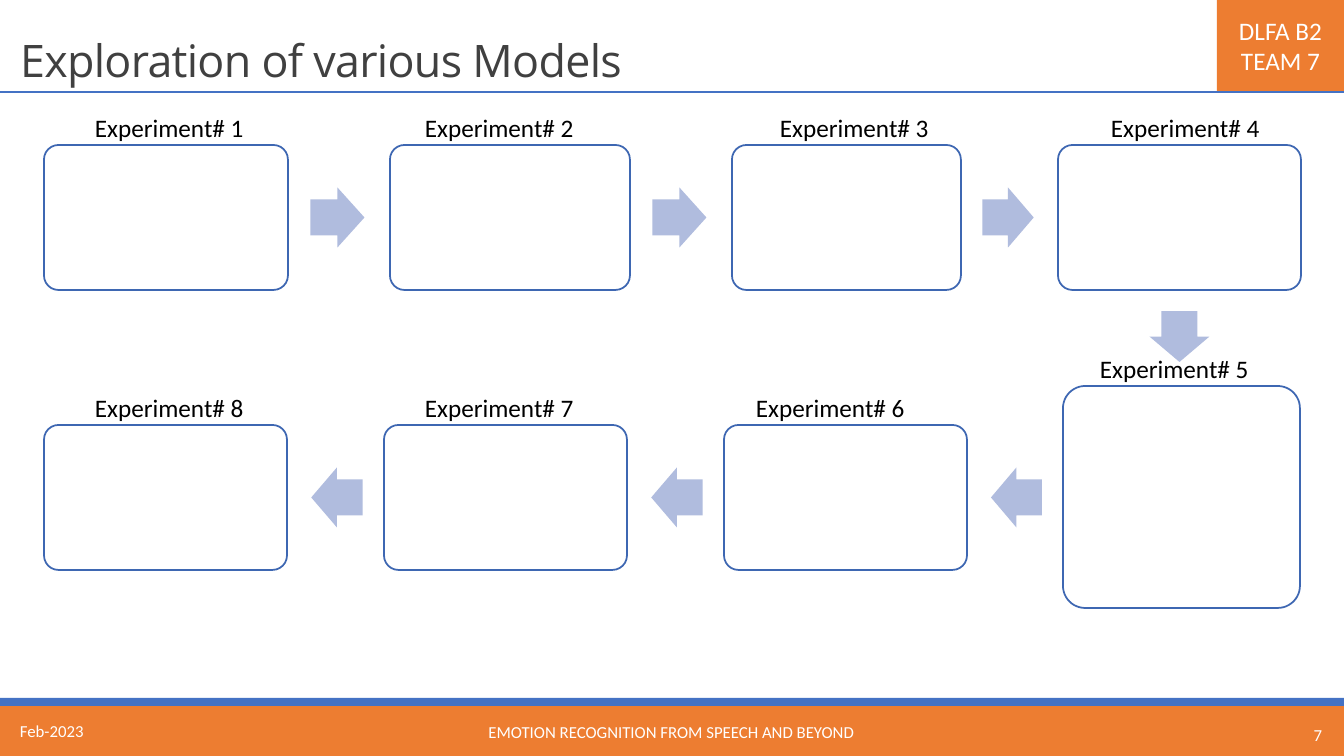
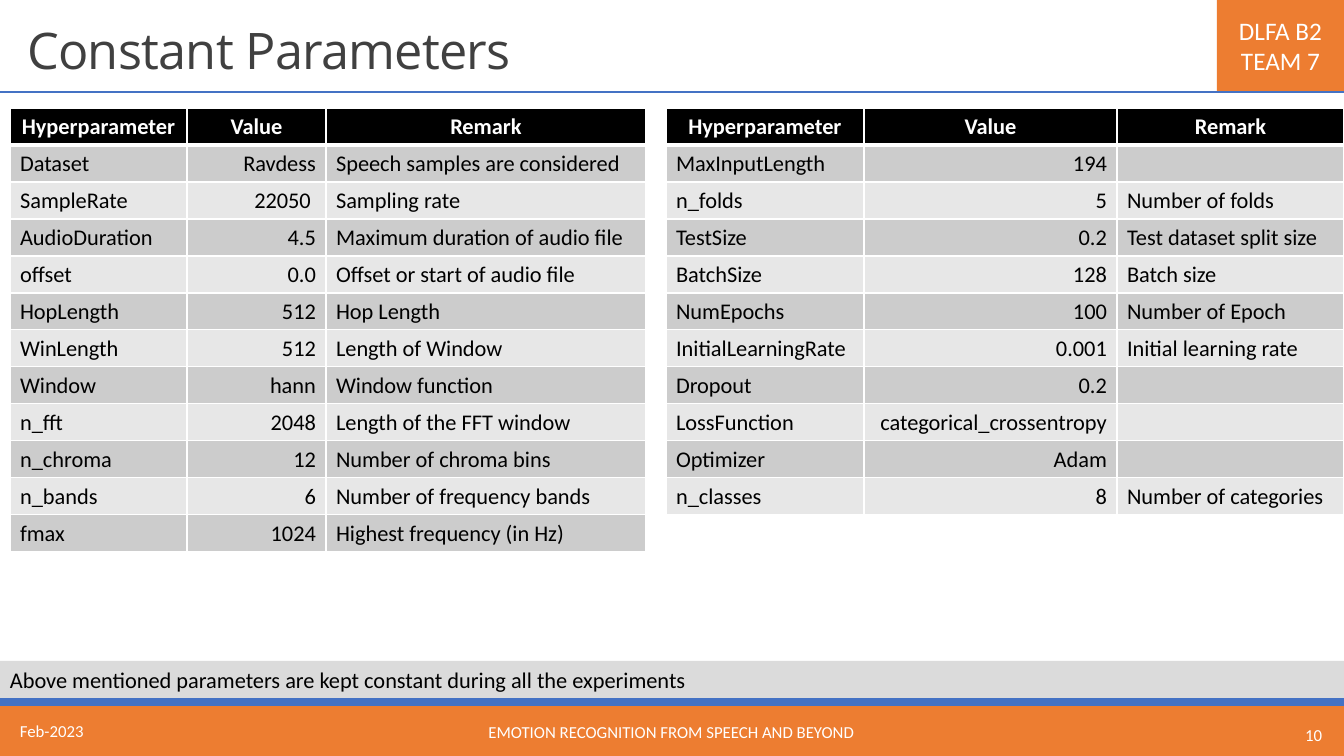
from lxml import etree
from pptx import Presentation
from pptx.dml.color import RGBColor
from pptx.enum import shapes, text
from pptx.oxml.ns import qn
from pptx.util import Emu, Pt

# Content
DATE = "Feb-2023"
TOPIC = "EMOTION RECOGNITION FROM SPEECH AND BEYOND"
TEAM = "DLFA B2 TEAM 7"
NOTE = "Above mentioned parameters are kept constant during all the experiments"
HEAD = ("Hyperparameter", "Value", "Remark")

# Experiments in order: card box, then left edge of its caption
CARDS = [
    ((44, 145, 244, 145), 85),
    ((390, 145, 240, 145), 415),
    ((732, 145, 229, 145), 770),
    ((1058, 145, 243, 145), 1101),
    ((1063, 386, 237, 222), 1090),
    ((724, 425, 243, 145), 746),
    ((384, 425, 243, 145), 415),
    ((44, 425, 243, 145), 85),
]
# One flow direction per gap between cards
FLOW = ["right"] * 3 + ["down"] + ["left"] * 3

AUDIO = [
    ("Dataset", "Ravdess", "Speech samples are considered"),
    ("SampleRate", "22050 ", "Sampling rate"),
    ("AudioDuration", "4.5", "Maximum duration of audio file"),
    ("offset", "0.0", "Offset or start of audio file"),
    ("HopLength", "512", "Hop Length"),
    ("WinLength", "512", "Length of Window"),
    ("Window", "hann", "Window function"),
    ("n_fft", "2048", "Length of the FFT window"),
    ("n_chroma", "12", "Number of chroma bins"),
    ("n_bands", "6", "Number of frequency bands"),
    ("fmax", "1024", "Highest frequency (in Hz)"),
]
TRAIN = [
    ("MaxInputLength", "194", ""),
    ("n_folds", "5", "Number of folds"),
    ("TestSize", "0.2", "Test dataset split size"),
    ("BatchSize", "128", "Batch size"),
    ("NumEpochs", "100", "Number of Epoch"),
    ("InitialLearningRate", "0.001", "Initial learning rate"),
    ("Dropout", "0.2", ""),
    ("LossFunction", "categorical_crossentropy", ""),
    ("Optimizer", "Adam", ""),
    ("n_classes", "8", "Number of categories"),
]
# Left edge, column widths, rows
TABLES = [(10, (177, 139, 320), AUDIO), (666, (198, 253, 227), TRAIN)]

# Style
HUES = {
    "orange": "ED7D31", "blue": "4472C4", "edge": "3E67B2", "arrow": "B0BCDE",
    "white": "FFFFFF", "black": "000000", "title": "404040",
    "dark": "CCCCCC", "light": "E7E7E7", "note": "DBDBDB",
}
BODY, DISPLAY = "Calibri", "Open Sans"
WIDE, HIGH = 1344, 756
KIND = shapes.MSO_SHAPE
SIDE = text.PP_ALIGN
MID, TOP, LOW = (text.MSO_ANCHOR.MIDDLE, text.MSO_ANCHOR.TOP,
                 text.MSO_ANCHOR.BOTTOM)


def px(n):
    return Emu(round(n * 914400 / 100.8))


def hue(name):
    return RGBColor.from_string(HUES[name])


def write(frame, words, size, color, align=SIDE.LEFT, face=BODY, bold=False):
    frame.text = words
    para = frame.paragraphs[0]
    para.alignment = align
    for run in para.runs:
        font = run.font
        font.name, font.size, font.bold = face, Pt(size), bold
        font.color.rgb = hue(color)
    return para


def block(slide, kind, box, fill, edge=None):
    shape = slide.shapes.add_shape(kind, *map(px, box))
    shape.shadow.inherit = False
    shape.fill.solid()
    shape.fill.fore_color.rgb = hue(fill)
    if edge:
        shape.line.color.rgb = hue(edge)
        shape.line.width = Pt(1.25)
    else:
        shape.line.fill.background()
    return shape


def label(slide, box, words, size, color, align=SIDE.LEFT, anchor=TOP):
    frame = slide.shapes.add_textbox(*map(px, box)).text_frame
    frame.word_wrap = True
    frame.vertical_anchor = anchor
    write(frame, words, size, color, align)


# Shared title, bands and footer
def page(deck, name, box, size, number):
    slide = deck.slides.add_slide(deck.slide_layouts[5])
    block(slide, KIND.RECTANGLE, (0, 706, WIDE, 50), "orange")
    block(slide, KIND.RECTANGLE, (0, 698, WIDE, 8), "blue")
    rule = slide.shapes.add_connector(
        shapes.MSO_CONNECTOR.STRAIGHT, 0, px(92), px(WIDE), px(92))
    rule.line.color.rgb = hue("blue")
    rule.line.width = Pt(1.5)
    etree.SubElement(rule._element.spPr, qn("a:effectLst"))
    badge = block(slide, KIND.RECTANGLE, (1217, 0, 127, 91), "orange")
    badge.text_frame.vertical_anchor = MID
    write(badge.text_frame, TEAM, 18, "white", SIDE.CENTER)

    for spot, words, align in (
        ((10, 711, 272, 40), DATE, SIDE.LEFT),
        ((406, 712, 531, 40), TOPIC, SIDE.CENTER),
        ((1188, 715, 144, 40), str(number), SIDE.RIGHT),
    ):
        label(slide, spot, words, 12, "white", align, MID)

    title = slide.shapes.title
    title.left, title.top, title.width, title.height = map(px, box)
    frame = title.text_frame
    frame.auto_size = text.MSO_AUTO_SIZE.NONE
    frame.vertical_anchor = LOW
    para = write(frame, name, size, "title", face=DISPLAY)
    para.line_spacing = 0.85
    para.space_after = Pt(6)
    para.runs[0]._r.get_or_add_rPr().set("spc", "-50")
    return slide


# Arrow in the gap between two cards, starting 22% in and 53% long
def arrow(slide, way, src, dst):
    thick = 60
    if way == "down":
        gap = dst[1] - src[1] - src[3]
        start = src[1] + src[3] + 0.22 * gap
        box = (src[0] + src[2] / 2 - thick / 2, start, thick, 0.53 * gap)
        kind = KIND.DOWN_ARROW
    else:
        near, far = (src, dst) if way == "right" else (dst, src)
        gap = far[0] - near[0] - near[2]
        skip = 0.22 if way == "right" else 0.25
        row = near if way == "right" else dst
        box = (near[0] + near[2] + skip * gap,
               row[1] + row[3] / 2 - thick / 2, 0.53 * gap, thick)
        kind = KIND.RIGHT_ARROW if way == "right" else KIND.LEFT_ARROW
    shape = block(slide, kind, box, "arrow")
    shape.adjustments[0], shape.adjustments[1] = 0.6, 0.5


def border(cell, widths):
    props = cell._tc.get_or_add_tcPr()
    for side, width in zip("LRTB", widths):
        line = etree.SubElement(props, qn("a:ln" + side), w=str(Pt(width)))
        fill = etree.SubElement(line, qn("a:solidFill"))
        etree.SubElement(fill, qn("a:srgbClr"), val=HUES["white"])


def grid(slide, left, widths, rows):
    rows = [HEAD] + rows
    tall = 37
    table = slide.shapes.add_table(
        len(rows), len(widths), px(left), px(108),
        px(sum(widths)), px(tall * len(rows))).table
    table.horz_banding = False
    for col, width in zip(table.columns, widths):
        col.width = px(width)
    for r, row in enumerate(rows):
        table.rows[r].height = px(tall)
        for c, words in enumerate(row):
            cell = table.cell(r, c)
            border(cell, (1, 1, 3 if r == 1 else 1, 3 if r == 0 else 1))
            cell.fill.solid()
            if r == 0:
                fill, ink, align = "black", "white", SIDE.CENTER
            else:
                fill, ink = ("dark" if r % 2 else "light"), "black"
                align = SIDE.RIGHT if c == 1 else SIDE.LEFT
            cell.fill.fore_color.rgb = hue(fill)
            para = write(cell.text_frame, words, 16, ink, align, bold=r == 0)
            if not words:  # keeps an empty row as low as the others
                end = etree.SubElement(para._p, qn("a:endParaRPr"))
                end.set("sz", "1600")


def models(deck):
    slide = page(deck, "Exploration of various Models",
                 (10, 0, 1109, 92), 32, 7)
    boxes = [box for box, _ in CARDS]
    for box in boxes:
        card = block(slide, KIND.ROUNDED_RECTANGLE, box, "white", "edge")
        card.adjustments[0] = 0.1
    for way, src, dst in zip(FLOW, boxes, boxes[1:]):
        arrow(slide, way, src, dst)
    for n, (box, left) in enumerate(CARDS, 1):
        label(slide, (left, box[1] - 38, 199, 40),
              f"Experiment# {n}", 18, "black")


def params(deck):
    slide = page(deck, "Constant Parameters", (17, 0, 1109, 85), 36, 10)
    for left, widths, rows in TABLES:
        grid(slide, left, widths, rows)
    note = block(slide, KIND.RECTANGLE, (0, 661, WIDE, 37), "note")
    note.text_frame.vertical_anchor = TOP
    write(note.text_frame, NOTE, 16, "black")


def main():
    deck = Presentation()
    deck.slide_width, deck.slide_height = px(WIDE), px(HIGH)
    models(deck)
    params(deck)
    deck.save("out.pptx")


if __name__ == "__main__":
    main()
